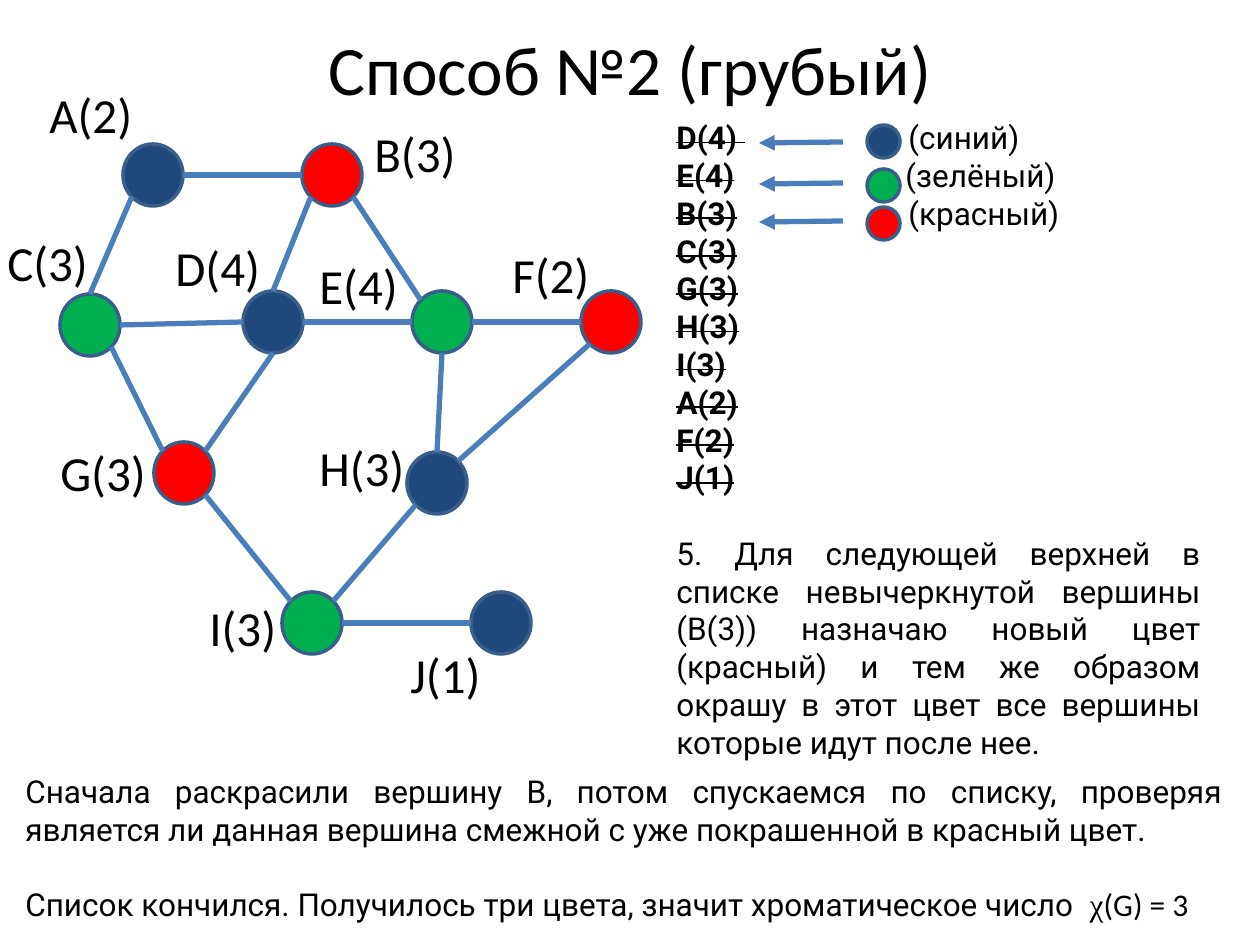
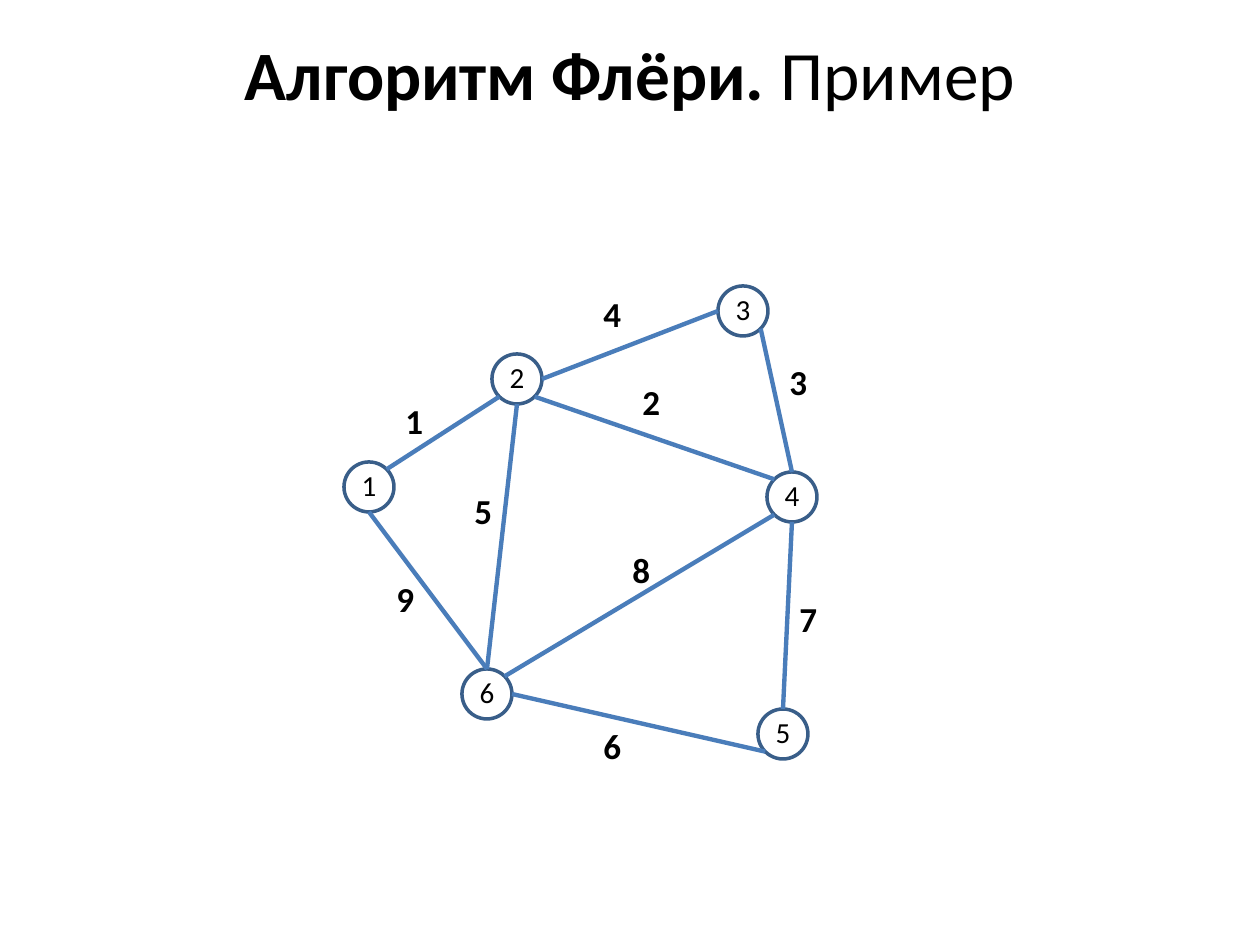
from dataclasses import dataclass
from math import sqrt

from pptx import Presentation
from pptx.dml.color import RGBColor
from pptx.enum.shapes import MSO_CONNECTOR, MSO_SHAPE
from pptx.enum.text import MSO_ANCHOR, PP_ALIGN
from pptx.oxml.ns import qn
from pptx.util import Emu, Pt
from lxml.etree import SubElement

EMU_PER_PX = 914400 / 126
DIAG = 1 / sqrt(2)
SITES = {
    "n": (0, -1), "ne": (DIAG, -DIAG), "e": (1, 0), "se": (DIAG, DIAG),
    "s": (0, 1), "sw": (-DIAG, DIAG), "w": (-1, 0), "nw": (-DIAG, -DIAG),
}


@dataclass(frozen=True)
class Theme:
    text: str = "000000"
    blue: str = "1F497D"
    green: str = "00B050"
    red: str = "FF0000"
    outline: str = "395E89"
    edge: str = "4A7DBA"
    head: str = "Calibri"
    body: str = "Roboto"
    math: str = "Times New Roman"
    title_size: float = 39.6
    vertex_size: float = 28
    body_size: float = 18
    number_size: float = 16.6
    weight_size: float = 20
    blank_line: float = 21.5
    outline_width: float = 2


T = Theme()
TITLE = dict(size=Pt(T.title_size), name=T.head)
VERTEX = dict(size=Pt(T.vertex_size), name=T.head)
BODY = dict(size=Pt(T.body_size), name=T.body)
BODY_BOLD = BODY | dict(bold=True)
NUMBER = dict(size=Pt(T.number_size), name=T.head)
WEIGHT = dict(size=Pt(T.weight_size), name=T.head, bold=True)

COLORING_VERTICES = {
    "A": (123, 144, T.blue), "B": (302, 144, T.red),
    "C": (60, 294, T.green), "D": (243, 291, T.blue),
    "E": (412, 291, T.green), "F": (581, 291, T.red),
    "G": (154, 442, T.red), "H": (407, 452, T.blue),
    "I": (282, 592, T.green), "J": (471, 592, T.blue),
}
COLORING_EDGES = [
    ("A", "e", "B", "w"), ("B", "se", "E", "nw"), ("D", "e", "E", "w"),
    ("C", "e", "D", "w"), ("B", "sw", "D", "n"), ("A", "sw", "C", "n"),
    ("C", "se", "G", "nw"), ("D", "s", "G", "ne"), ("E", "s", "H", "n"),
    ("G", "se", "I", "nw"), ("I", "ne", "H", "sw"), ("H", "ne", "F", "sw"),
    ("E", "e", "F", "w"), ("I", "e", "J", "w"),
]
VERTEX_LABELS = [
    ("A(2)", 37, 78), ("B(3)", 362, 117), ("C(3)", -5, 226),
    ("D(4)", 163, 231), ("E(4)", 307, 249), ("F(2)", 500, 238),
    ("G(3)", 48, 436), ("H(3)", 307, 431), ("I(3)", 197, 591),
    ("J(1)", 398, 638),
]
DEGREE_LIST = ["D(4)", "E(4)", "B(3)", "C(3)", "G(3)",
               "H(3)", "I(3)", "A(2)", "F(2)", "J(1)"]
LEGEND = {
    "D(4)": ("(синий)", 232, T.blue, 125, 142),
    "E(4)": ("(зелёный)", 229, T.green, 169, 183),
    "B(3)": ("(красный)", 232, T.red, 207, 221),
}
STEP = ("5. Для следующей верхней в списке невычеркнутой вершины (В(3)) "
        "назначаю новый цвет (красный) и тем же образом окрашу в этот цвет "
        "все вершины которые идут после нее.")
CHECK = ("Сначала раскрасили вершину В, потом спускаемся по списку, проверяя "
         "является ли данная вершина смежной с уже покрашенной в красный цвет.")
RESULT = "Список кончился. Получилось три цвета, значит хроматическое число "

FLEURY_VERTICES = {
    "1": (344, 462), "2": (492, 354), "4": (767, 472),
    "3": (718, 286), "6": (462, 669), "5": (758, 709),
}
FLEURY_EDGES = [
    ("2", "sw", "1", "ne"), ("3", "se", "4", "n"), ("2", "se", "4", "nw"),
    ("6", "n", "2", "s"), ("1", "s", "6", "n"), ("4", "s", "5", "n"),
    ("4", "sw", "6", "ne"), ("5", "sw", "6", "e"), ("3", "w", "2", "e"),
]
EDGE_WEIGHTS = [(393, 393), (630, 374), (777, 354), (591, 286), (462, 483),
                (591, 718), (787, 591), (620, 542), (384, 571)]


def px(n):
    return Emu(round(n * EMU_PER_PX))


def rgb(value):
    return RGBColor.from_string(value)


def apply(obj, values):
    for name, value in values.items():
        setattr(obj, name, value)


def add_run(p, text, fmt, strike=False):
    r = p.add_run()
    r.text = text
    apply(r.font, fmt)
    r.font.color.rgb = rgb(T.text)
    if strike:
        r.font._element.set("strike", "sngStrike")


def add_text(slide, box, runs=(), anchor=MSO_ANCHOR.TOP, align=PP_ALIGN.LEFT):
    tf = slide.shapes.add_textbox(*map(px, box)).text_frame
    apply(tf, dict(word_wrap=True, vertical_anchor=anchor))
    p = tf.paragraphs[0]
    p.alignment = align
    for text, fmt in runs:
        add_run(p, text, fmt)
    return tf


def add_paragraph(tf, space_before=0):
    p = tf.add_paragraph()
    apply(p, dict(alignment=PP_ALIGN.JUSTIFY, space_before=Pt(space_before)))
    return p


def add_title(slide, top, height, runs):
    add_text(slide, (63, top, 1134, height), runs,
             MSO_ANCHOR.MIDDLE, PP_ALIGN.CENTER)


def add_node(slide, left, top, width, height, fill=None):
    sp = slide.shapes.add_shape(MSO_SHAPE.OVAL, *map(px, (left, top, width, height)))
    sp.shadow.inherit = False
    if fill:
        sp.fill.solid()
        sp.fill.fore_color.rgb = rgb(fill)
    else:
        sp.fill.background()
    sp.line.color.rgb = rgb(T.outline)
    sp.line.width = Pt(T.outline_width)
    return sp


def add_number(sp, text):
    tf = sp.text_frame
    apply(tf, dict(margin_left=0, margin_right=0, margin_top=0, margin_bottom=0,
                   vertical_anchor=MSO_ANCHOR.MIDDLE))
    p = tf.paragraphs[0]
    apply(p, dict(alignment=PP_ALIGN.CENTER, line_spacing=0.9))
    add_run(p, text, NUMBER)


def add_line(slide, start, end, width, arrow=False):
    line = slide.shapes.add_connector(MSO_CONNECTOR.STRAIGHT, *start, *end)
    line.line.color.rgb = rgb(T.edge)
    line.line.width = Pt(width)
    if arrow:
        SubElement(line.line._get_or_add_ln(), qn("a:tailEnd"), type="triangle")
    SubElement(line._element.spPr, qn("a:effectLst"))


def site(sp, side):
    dx, dy = SITES[side]
    return (Emu(round(sp.left + sp.width * (1 + dx) / 2)),
            Emu(round(sp.top + sp.height * (1 + dy) / 2)))


def add_edges(slide, nodes, edges, width):
    for a, side_a, b, side_b in edges:
        add_line(slide, site(nodes[a], side_a), site(nodes[b], side_b), width)


def add_tab(p, position):
    tabs = SubElement(p._p.get_or_add_pPr(), qn("a:tabLst"))
    SubElement(tabs, qn("a:tab"), pos=str(px(position)), algn="l")


def add_degree_list(slide):
    tf = add_text(slide, (664, 112, 549, 738), align=PP_ALIGN.JUSTIFY)
    for i, vertex in enumerate(DEGREE_LIST):
        p = add_paragraph(tf) if i else tf.paragraphs[0]
        add_run(p, vertex, BODY_BOLD, strike=True)
        if i == 0:
            add_run(p, " ", BODY, strike=True)
        if vertex in LEGEND:
            color_name, tab = LEGEND[vertex][:2]
            add_tab(p, tab)
            add_run(p, "\t" + color_name, BODY)
    add_run(add_paragraph(tf, T.blank_line), STEP, BODY)


def add_legend_marks(slide):
    for _, _, color, top, arrow_y in LEGEND.values():
        add_node(slide, 867, top, 33, 33, color)
        add_line(slide, (px(843), px(arrow_y)), (px(759), px(arrow_y + 1)), 3, arrow=True)


def add_conclusion(slide):
    tf = add_text(slide, (13, 766, 1222, 165), [(CHECK, BODY)], align=PP_ALIGN.JUSTIFY)
    p = add_paragraph(tf, T.blank_line)
    add_run(p, RESULT, BODY)
    add_run(p, " χ", BODY | dict(name=T.math))
    add_run(p, "(G) = 3", BODY | dict(name=T.head))


def build_coloring(slide):
    add_title(slide, 38, 60, [("Способ №2 (грубый)", TITLE)])
    nodes = {name: add_node(slide, x, y, 60, 62, color)
             for name, (x, y, color) in COLORING_VERTICES.items()}
    add_edges(slide, nodes, COLORING_EDGES, 3)
    for text, x, y in VERTEX_LABELS:
        add_text(slide, (x, y, 112, 72), [(text, VERTEX)])
    add_degree_list(slide)
    add_legend_marks(slide)
    add_conclusion(slide)


def build_fleury(slide):
    add_title(slide, 38, 70, [("Алгоритм Флёри. ", TITLE | dict(bold=True)),
                              ("Пример", TITLE)])
    nodes = {}
    for name, (x, y) in FLEURY_VERTICES.items():
        nodes[name] = add_node(slide, x, y, 50, 50)
        add_number(nodes[name], name)
    add_edges(slide, nodes, FLEURY_EDGES, 2.5)
    for weight, (x, y) in enumerate(EDGE_WEIGHTS, 1):
        add_text(slide, (x, y, 44, 55), [(str(weight), WEIGHT)])


def main():
    prs = Presentation()
    apply(prs, dict(slide_width=px(1260), slide_height=px(945)))
    for build in (build_coloring, build_fleury):
        build(prs.slides.add_slide(prs.slide_layouts[6]))
    prs.save("out.pptx")


if __name__ == "__main__":
    main()
